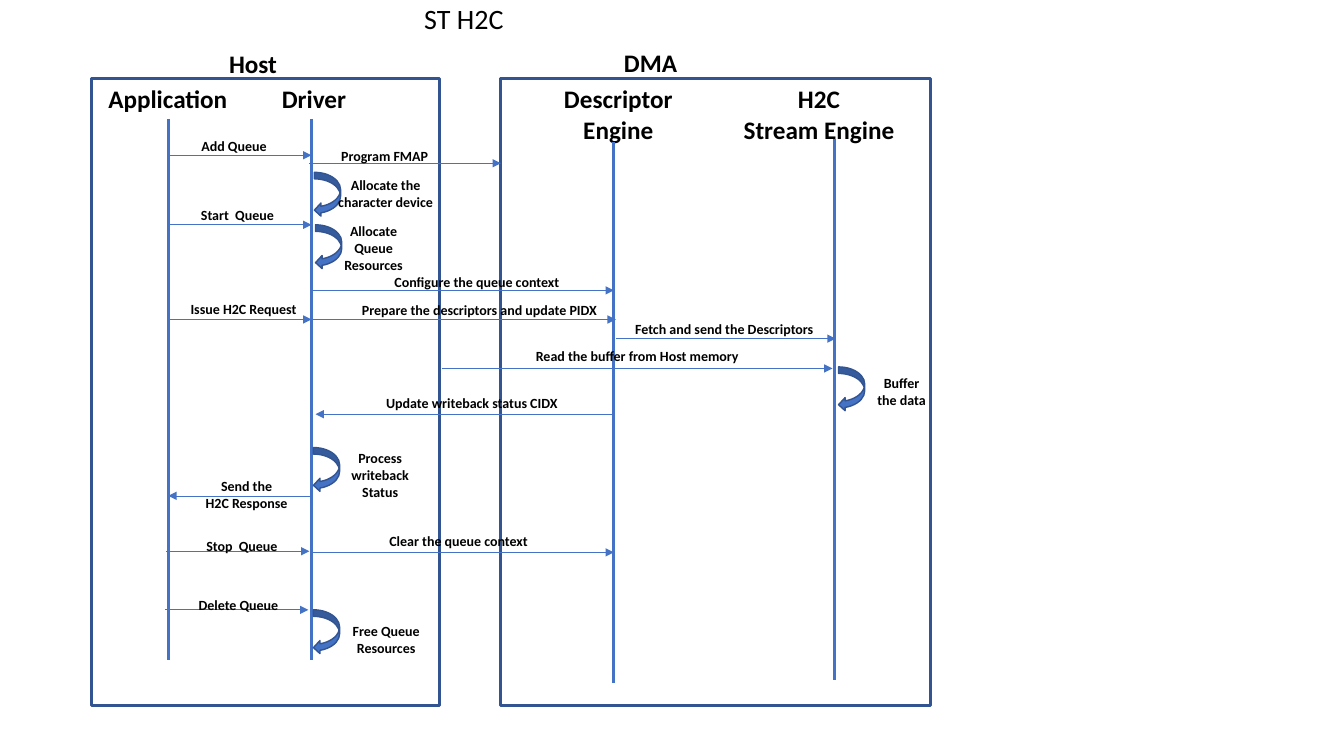
from pptx import Presentation
from pptx.dml.color import RGBColor
from pptx.enum.shapes import MSO_CONNECTOR, MSO_SHAPE
from pptx.enum.text import MSO_AUTO_SIZE, PP_ALIGN
from pptx.oxml.ns import qn
from pptx.util import Pt
from lxml import etree

RECT, LOOP = MSO_SHAPE.RECTANGLE, MSO_SHAPE.CURVED_LEFT_ARROW
LINE = MSO_CONNECTOR.STRAIGHT
LEFT, MID = PP_ALIGN.LEFT, PP_ALIGN.CENTER
FIT = MSO_AUTO_SIZE.SHAPE_TO_FIT_TEXT

THEME = {
    "font": "Calibri",
    "ink": RGBColor(0, 0, 0),
    "paper": RGBColor(0xFF, 0xFF, 0xFF),
    "blue": RGBColor(0x44, 0x72, 0xC4),
    "edge": RGBColor(0x32, 0x54, 0x91),
    "title": 20, "head": 18, "note": 10,
    "thick": 2.25, "rim": 1, "thin": 0.5,
}

WIDE, HIGH = 960, 540
TOP, TALL = 56.2, 447.8
SPAN = 386.6
APP, DRIVER, DESC, STREAM = 120.2, 222.5, 438.5, 596.2
HOST, DMA = 65.5, 357.8

# left, width
BOXES = [(HOST, 248.4), (DMA, 306.7)]
# text, left, top, width, rows
HEADS = [
    ("Host", 149, 31, 63.4, 1),
    ("DMA", 404.6, 30.2, 120.2, 1),
    ("Application", 59.8, TOP, 120.2, 1),
    ("Driver", 164.2, TOP, 120.2, 1),
    ("Descriptor Engine", 381.6, TOP, 120.2, 2),
    ("H2C\nStream Engine", 504, TOP, 162, 2),
]
# x, top
LIVES = [(APP, 85), (DRIVER, 85), (DESC, 101.5), (STREAM, 99.4)]
# start, end, y, text, left, top, width, rows
CALLS = [
    (APP, DRIVER, 110.9, "Add Queue", 135.4, 95, 63.4, 1),
    (221, DMA, 116.6, "Program FMAP", 233.3, 102.2, 82.8, 1),
    (APP, DRIVER, 160.6, "Start  Queue", 126.7, 144, 85.7, 1),
    (DRIVER, DESC, 207.4, "Configure the queue context", 266.4, 191.5, 148.3, 1),
    (APP, DRIVER, 228.2, "Issue H2C Request", 126, 211, 95.8, 1),
    (223.2, 439.9, 228.2, "Prepare the descriptors and update PIDX", 245.5, 211.7, 193.7, 1),
    (439.9, 596.9, 241.9, "Fetch and send the Descriptors", 439.9, 225.4, 154.8, 1),
    (315.4, 594.7, 263.2, "Read the buffer from Host memory", 365.8, 244.8, 178.6, 1),
    (DESC, 225.4, 295.9, "Update writeback status CIDX", 257.8, 277.9, 158.4, 1),
    (DRIVER, APP, 354.2, "Send the\nH2C Response", 135.4, 337.7, 81.4, 2),
    (118.8, 221, 393.8, "Stop  Queue", 133.2, 380.2, 79.2, 1),
    (DRIVER, DESC, 394.6, "Clear the queue context", 267.8, 376.6, 119.5, 1),
    (118.1, 220.3, 435.6, "Delete Queue", 132.5, 422.6, 75.6, 1),
]
# loop left, loop top, text, left, top, width, rows
LOOPS = [
    (224.6, 123.1, "Allocate the character device", 234, 122.4, 82.8, 2),
    (225.4, 160.6, "Allocate Queue Resources", 236.2, 155.5, 61.2, 3),
    (599, 262.1, "Buffer\nthe data", 613.4, 264.2, 61.2, 2),
    (223.9, 319.7, "Process writeback Status", 239.8, 317.5, 63.4, 3),
    (223.9, 435.6, "Free Queue Resources", 244.1, 441.4, 63.4, 2),
]

deck = Presentation()
deck.slide_width, deck.slide_height = Pt(WIDE), Pt(HIGH)
parts = deck.slides.add_slide(deck.slide_layouts[6]).shapes


def shape(kind, x, y, w, h, fill, width):
    item = parts.add_shape(kind, Pt(x), Pt(y), Pt(w), Pt(h))
    item.shadow.inherit = False
    item.fill.solid()
    item.fill.fore_color.rgb = THEME[fill]
    item.line.color.rgb = THEME["edge"]
    item.line.width = Pt(THEME[width])


def label(text, x, y, w, rows, size, bold=True, align=MID):
    high = 7.2 + 1.22 * THEME[size] * rows
    frame = parts.add_textbox(Pt(x), Pt(y), Pt(w), Pt(high)).text_frame
    frame.word_wrap = True
    frame.auto_size = FIT
    frame.text = text
    for para in frame.paragraphs:
        para.alignment = align
        for run in para.runs:
            run.font.name = THEME["font"]
            run.font.size = Pt(THEME[size])
            run.font.bold = bold
            run.font.color.rgb = THEME["ink"]


def line(x1, y1, x2, y2, width, arrow=False):
    item = parts.add_connector(LINE, Pt(x1), Pt(y1), Pt(x2), Pt(y2))
    item.line.color.rgb = THEME["blue"]
    item.line.width = Pt(THEME[width])
    props = item._element.spPr
    if arrow:
        etree.SubElement(props.find(qn("a:ln")), qn("a:tailEnd"), type="triangle")
    etree.SubElement(props, qn("a:effectLst"))


for x, w in BOXES:
    shape(RECT, x, TOP, w, TALL, "paper", "thick")
for head in HEADS:
    label(*head, "head")
for x, y in LIVES:
    line(x, y, x, y + SPAN, "thick")
for start, end, y, *note in CALLS:
    line(start, y, end, y, "thin", True)
    label(*note, "note")
for x, y, *note in LOOPS:
    shape(LOOP, x, y, 18.7, 31.7, "blue", "rim")
    label(*note, "note")
label("ST H2C", 295.9, -2.2, 99.4, 1, "title", False, LEFT)

deck.save("out.pptx")
